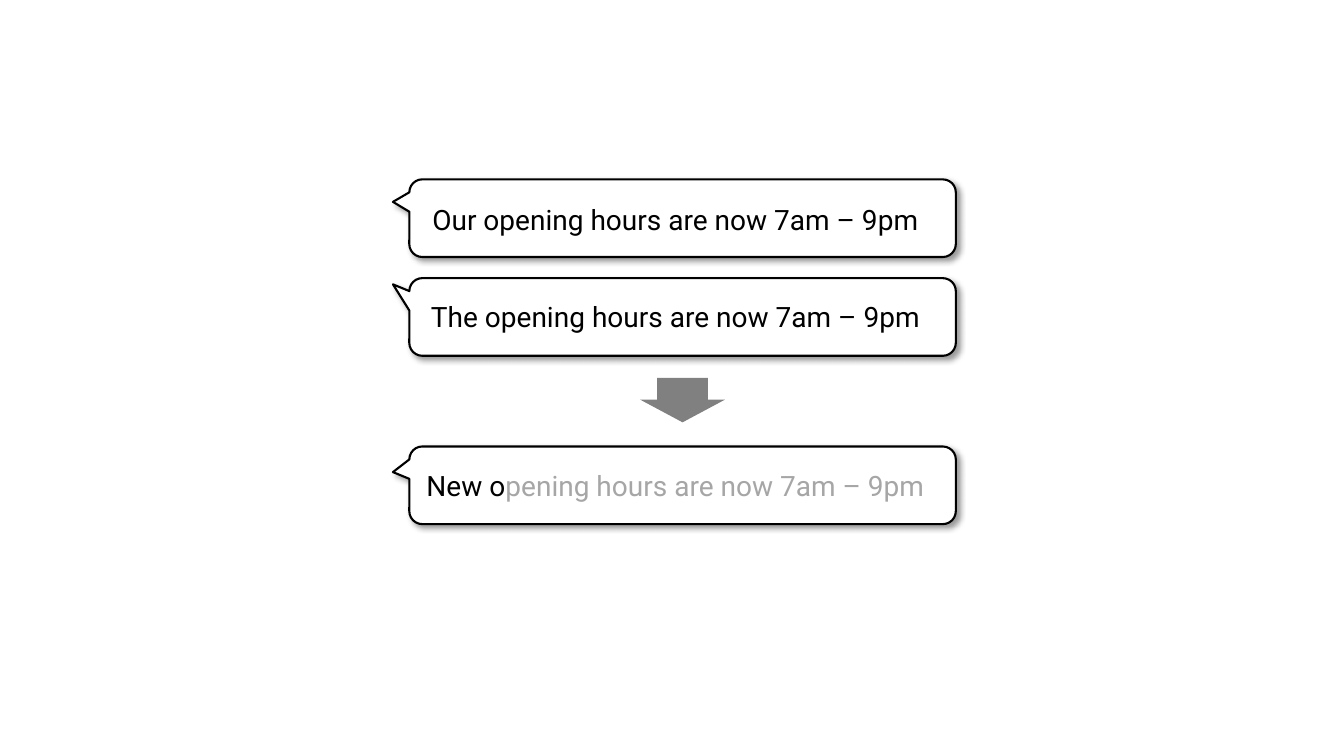
from dataclasses import dataclass

from lxml.etree import SubElement
from pptx import Presentation
from pptx.dml.color import RGBColor
from pptx.enum.shapes import MSO_SHAPE as Shape
from pptx.enum.text import MSO_AUTO_SIZE as AutoSize, PP_ALIGN as Align
from pptx.oxml.ns import qn
from pptx.util import Inches, Pt

BLACK = RGBColor(0x00, 0x00, 0x00)
WHITE = RGBColor(0xFF, 0xFF, 0xFF)
ARROW_GREY = RGBColor(0x80, 0x80, 0x80)
SUGGESTION_GREY = RGBColor(0xA6, 0xA6, 0xA6)

SLIDE_WIDTH, SLIDE_HEIGHT = Inches(13.33), Inches(7.5)
COLUMN, ROW = SLIDE_WIDTH / 1333, SLIDE_HEIGHT / 750

BUBBLE_LEFT, BUBBLE_WIDTH, BUBBLE_HEIGHT = 406, 542, 77
MESSAGE_CENTER, MESSAGE_HEIGHT = 670, 44


@dataclass(frozen=True)
class Message:
    row: int
    tail_x: float
    tail_y: float
    text_row: int
    text_columns: int
    typed: str
    suggested: str = ""


MESSAGES = [
    Message(178, -0.53, -0.21, 196, 506, "Our opening hours are now 7am – 9pm"),
    Message(276, -0.53, -0.42, 292, 509, "The opening hours are now 7am – 9pm"),
    Message(443, -0.53, -0.17, 460, 518, "New o", "pening hours are now 7am – 9pm"),
]


def grid(left: float, top: float, width: float, height: float) -> tuple[int, ...]:
    return (round(left * COLUMN), round(top * ROW),
            round(width * COLUMN), round(height * ROW))


def add_shadow(bubble) -> None:
    effects = bubble._element.spPr.find(qn("a:effectLst"))
    shadow = SubElement(effects, qn("a:outerShdw"), blurRad=str(Pt(4)),
                        dist=str(Pt(3)), dir="2700000", algn="tl", rotWithShape="0")
    color = SubElement(shadow, qn("a:srgbClr"), val=str(BLACK))
    SubElement(color, qn("a:alpha"), val="40000")


def draw_bubble(slide, message: Message) -> None:
    bubble = slide.shapes.add_shape(
        Shape.ROUNDED_RECTANGULAR_CALLOUT,
        *grid(BUBBLE_LEFT, message.row, BUBBLE_WIDTH, BUBBLE_HEIGHT))
    for index, value in enumerate((message.tail_x, message.tail_y, 0.167)):
        bubble.adjustments[index] = value
    bubble.fill.solid()
    bubble.fill.fore_color.rgb = WHITE
    bubble.line.color.rgb = BLACK
    bubble.line.width = Pt(1.5)
    bubble.shadow.inherit = False
    add_shadow(bubble)


def draw_text(slide, message: Message) -> None:
    left = MESSAGE_CENTER - message.text_columns / 2
    label = slide.shapes.add_textbox(
        *grid(left, message.text_row, message.text_columns, MESSAGE_HEIGHT))
    label.fill.solid()
    label.fill.fore_color.rgb = WHITE
    label.text_frame.word_wrap = False
    label.text_frame.auto_size = AutoSize.SHAPE_TO_FIT_TEXT
    sentence = label.text_frame.paragraphs[0]
    sentence.alignment = Align.CENTER
    sentence.font.name = "Roboto"
    sentence.font.size = Pt(20)
    for words, color in ((message.typed, BLACK), (message.suggested, SUGGESTION_GREY)):
        if words:
            part = sentence.add_run()
            part.text = words
            part.font.color.rgb = color


def draw_arrow(slide) -> None:
    arrow = slide.shapes.add_shape(Shape.DOWN_ARROW, *grid(635, 375, 84, 44))
    arrow.adjustments[0] = 0.6
    arrow.adjustments[1] = 0.51
    arrow.fill.solid()
    arrow.fill.fore_color.rgb = ARROW_GREY
    arrow.line.fill.background()
    arrow.shadow.inherit = False


def main() -> None:
    deck = Presentation()
    deck.slide_width, deck.slide_height = SLIDE_WIDTH, SLIDE_HEIGHT
    slide = deck.slides.add_slide(deck.slide_layouts[6])
    for message in MESSAGES:
        draw_bubble(slide, message)
    for message in MESSAGES:
        draw_text(slide, message)
    draw_arrow(slide)
    deck.save("out.pptx")


if __name__ == "__main__":
    main()
